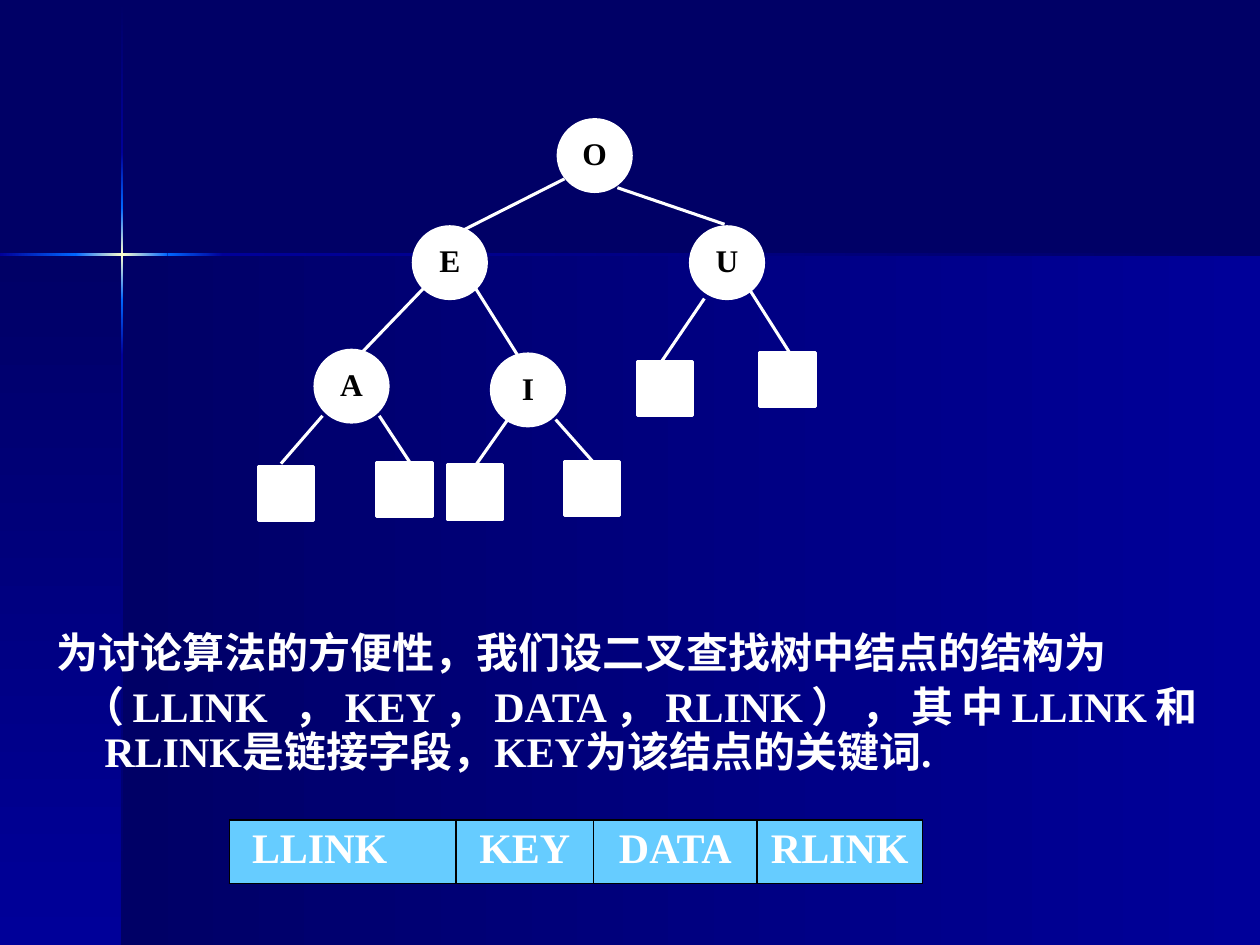
"""Build a slide with a binary search tree and the layout of its nodes."""
from lxml import etree
from pptx import Presentation
from pptx.dml.color import RGBColor
from pptx.enum.shapes import MSO_CONNECTOR, MSO_SHAPE
from pptx.enum.text import MSO_ANCHOR, PP_ALIGN
from pptx.oxml.ns import qn
from pptx.util import Inches, Pt

STRAIGHT = MSO_CONNECTOR.STRAIGHT
RECTANGLE, OVAL = MSO_SHAPE.RECTANGLE, MSO_SHAPE.OVAL
MIDDLE = MSO_ANCHOR.MIDDLE
LEFT, CENTER, JUSTIFY = PP_ALIGN.LEFT, PP_ALIGN.CENTER, PP_ALIGN.JUSTIFY

NAVY = RGBColor(0x00, 0x00, 0x66)
BLUE = RGBColor(0x00, 0x00, 0x99)
BRIGHT = RGBColor(0x00, 0x66, 0xFF)
CREAM = RGBColor(0xFF, 0xFF, 0xCC)
SKY = RGBColor(0x66, 0xCC, 0xFF)
WHITE = RGBColor(0xFF, 0xFF, 0xFF)
BLACK = RGBColor(0x00, 0x00, 0x00)
FONT = "Times New Roman"
RIGHTWARD, DOWNWARD = 0, 270


def add_plain_shape(kind, left, top, width, height):
    shape = slide.shapes.add_shape(
        kind, Inches(left), Inches(top), Inches(width), Inches(height))
    shape.shadow.inherit = False
    return shape


def set_font(paragraph, size, color):
    paragraph.font.name = FONT
    paragraph.font.size = Pt(size)
    paragraph.font.bold = True
    paragraph.font.color.rgb = color


presentation = Presentation()
presentation.slide_width = Inches(10)
presentation.slide_height = Inches(7.5)
slide = presentation.slides.add_slide(presentation.slide_layouts[6])
slide.background.fill.solid()
slide.background.fill.fore_color.rgb = NAVY

gradient_bands = [
    (0.97, 2.02, 9.03, 5.48, NAVY, BLUE, RIGHTWARD),
    (0, 2.02, 0.97, 5.48, NAVY, BLUE, DOWNWARD),
    (0.96, 0.01, 0.02, 1.2, NAVY, BLUE, DOWNWARD),
    (0.96, 2.82, 0.02, 4.68, BLUE, NAVY, DOWNWARD),
    (1.77, 2.01, 8.23, 0.02, BLUE, NAVY, RIGHTWARD),
    (0.96, 2.38, 0.02, 0.44, BRIGHT, BLUE, DOWNWARD),
    (0.96, 1.21, 0.02, 0.44, BLUE, BRIGHT, DOWNWARD),
    (0.96, 1.65, 0.02, 0.37, BRIGHT, CREAM, DOWNWARD),
    (0.96, 2.02, 0.02, 0.36, CREAM, BRIGHT, DOWNWARD),
    (0, 2.01, 0.6, 0.02, BLUE, BRIGHT, RIGHTWARD),
    (1.33, 2.01, 0.44, 0.02, BRIGHT, BLUE, RIGHTWARD),
    (0.6, 2.01, 0.37, 0.02, BRIGHT, CREAM, RIGHTWARD),
    (0.97, 2.01, 0.36, 0.02, CREAM, BRIGHT, RIGHTWARD),
]
for left, top, width, height, start, end, angle in gradient_bands:
    band = add_plain_shape(RECTANGLE, left, top, width, height)
    band.line.fill.background()
    band.fill.gradient()
    band.fill.gradient_angle = angle
    for stop, color in zip(band.fill.gradient_stops, (start, end)):
        stop.color.rgb = color

text_box = slide.shapes.add_textbox(
    Inches(0.35), Inches(4.97), Inches(9.25), Inches(1.3))
text_frame = text_box.text_frame
text_frame.word_wrap = True
sentences = [
    "为讨论算法的方便性，我们设二叉查找树中结点的结构为",
    " （LLINK ，KEY，DATA，RLINK），其中LLINK和RLINK是链接字段，KEY为该结点的关键词.",
]
for index, sentence in enumerate(sentences):
    paragraph = text_frame.add_paragraph() if index else text_frame.paragraphs[0]
    paragraph.text = sentence
    paragraph.alignment = JUSTIFY
    paragraph.line_spacing = 0.9
    paragraph.space_before = Pt(4.8 if index else 0)
    properties = paragraph._p.get_or_add_pPr()
    properties.set("marL", str(Inches(0.38)))
    properties.set("indent", str(-Inches(0.38)))
    set_font(paragraph, 24, WHITE)

edges = [
    (4.48, 1.42, 3.67, 1.83), (4.9, 1.49, 5.75, 1.78),
    (3.37, 2.28, 2.87, 2.8), (3.75, 2.25, 4.14, 2.87),
    (5.59, 2.37, 5.25, 2.87), (5.95, 2.3, 6.28, 2.82),
    (2.56, 3.3, 2.23, 3.68), (3.01, 3.3, 3.26, 3.68),
    (4.03, 3.33, 3.77, 3.7), (4.41, 3.33, 4.72, 3.68),
]
for edge in edges:
    connector = slide.shapes.add_connector(STRAIGHT, *map(Inches, edge))
    connector.line.color.rgb = WHITE
    connector.line.width = Pt(1.75)
    etree.SubElement(connector._element.spPr, qn("a:effectLst"))

leaves = [(2.05, 3.7), (2.99, 3.67), (3.55, 3.69),
          (4.48, 3.66), (5.06, 2.87), (6.03, 2.8)]
nodes = [("O", 4.43, 0.95), ("E", 3.28, 1.8), ("U", 5.48, 1.8),
         ("A", 2.5, 2.78), ("I", 3.9, 2.81)]
tree_shapes = [(RECTANGLE, "", left, top, 0.44, 0.43) for left, top in leaves]
tree_shapes += [(OVAL, key, left, top, 0.58, 0.57) for key, left, top in nodes]
for kind, key, left, top, width, height in tree_shapes:
    shape = add_plain_shape(kind, left, top, width, height)
    shape.fill.solid()
    shape.fill.fore_color.rgb = WHITE
    shape.line.color.rgb = WHITE
    shape.line.width = Pt(1.75)
    if key:
        frame = shape.text_frame
        frame.margin_left = frame.margin_right = Inches(0.02)
        frame.margin_top, frame.margin_bottom = Inches(0.01), Inches(0.05)
        frame.vertical_anchor = MIDDLE
        paragraph = frame.paragraphs[0]
        paragraph.text = key
        paragraph.alignment = CENTER
        set_font(paragraph, 18, BLACK)

fields = [("LLINK", 1.8, LEFT), ("KEY", 1.09, CENTER),
          ("DATA", 1.3, CENTER), ("RLINK", 1.31, CENTER)]
table = slide.shapes.add_table(
    1, len(fields), Inches(1.82), Inches(6.51), Inches(5.5), Inches(0.49)).table
for column, (field, width, alignment) in enumerate(fields):
    table.columns[column].width = Inches(width)
    cell = table.cell(0, column)
    paragraph = cell.text_frame.paragraphs[0]
    paragraph.text = field
    paragraph.alignment = alignment
    set_font(paragraph, 24, WHITE)
    if alignment == LEFT:
        cell.margin_left = Inches(0.18)
    properties = cell._tc.get_or_add_tcPr()
    for side in ("a:lnL", "a:lnR", "a:lnT", "a:lnB"):
        border = etree.SubElement(properties, qn(side), w=str(Pt(1)))
        border_fill = etree.SubElement(border, qn("a:solidFill"))
        etree.SubElement(border_fill, qn("a:srgbClr"), val=str(BLACK))
    cell.fill.solid()
    cell.fill.fore_color.rgb = SKY

presentation.save("out.pptx")
